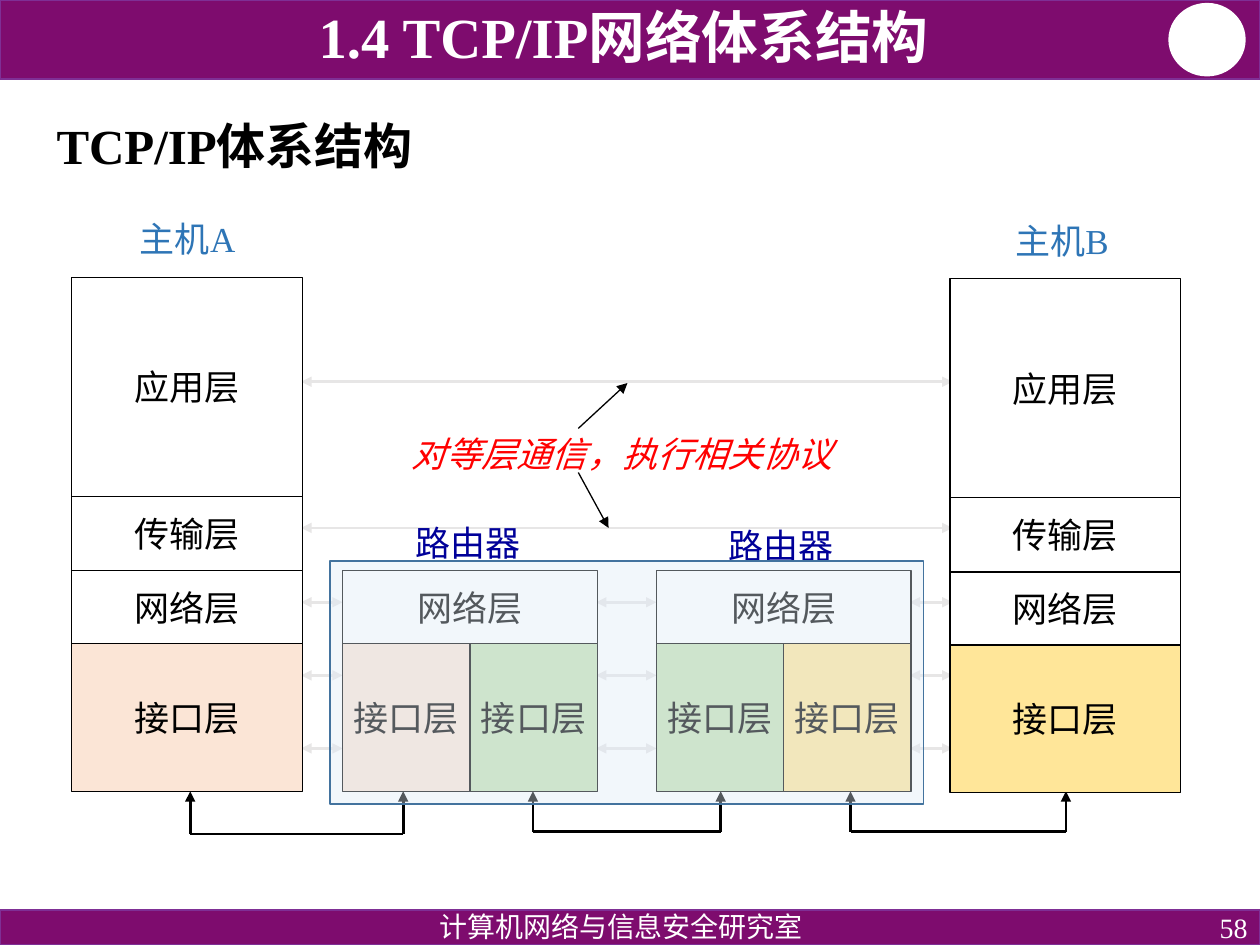
from dataclasses import dataclass

from lxml.etree import SubElement
from pptx import Presentation
from pptx.dml.color import RGBColor
from pptx.enum.shapes import MSO_CONNECTOR, MSO_SHAPE as Shape
from pptx.enum.text import MSO_ANCHOR as Anchor, PP_ALIGN as Align
from pptx.oxml.ns import qn
from pptx.util import Inches, Pt


@dataclass(frozen=True)
class Theme:
    font: str = "Times New Roman"
    banner: str = "7E0C6E"
    banner_edge: str = "7F2F95"
    white: str = "FFFFFF"
    ink: str = "000000"
    peer: str = "E7E6E6"
    note: str = "FF0000"
    router: str = "000099"
    host: str = "2E75B6"
    peach: str = "FBE5D6"
    green: str = "C5E0B4"
    gold: str = "FFE699"
    network: str = "DEEBF7"
    network_edge: str = "43739E"
    heading_size: float = 32.4
    title_size: float = 28
    body_size: float = 20
    footer_size: float = 16


theme = Theme()

heading = "1.4 TCP/IP网络体系结构"
title = "TCP/IP体系结构"
footer = "计算机网络与信息安全研究室"
page_number = "58"
peer_note = "对等层通信，执行相关协议"
router_label = "路由器"
network_layer, link_layer = "网络层", "接口层"

host_layers = [("应用层", 1.74), ("传输层", 0.59), (network_layer, 0.58), (link_layer, 1.17)]
hosts = [
    ("主机A", (0.66, 1.68), (0.57, 2.2), theme.peach),
    ("主机B", (7.6, 1.69), (7.54, 2.21), theme.gold),
]
routers = [
    (2.72, (3.2, 4.09), (theme.peach, theme.green)),
    (5.21, (5.68, 4.11), (theme.green, theme.gold)),
]
end_to_end_rows = [3.03, 4.19]
hop_rows = [4.78, 5.36, 5.94]
hops = [(2.39, 2.72), (4.73, 5.21), (7.22, 7.56)]
cables = [(1.51, 3.2, 6.62), (4.23, 5.72, 6.6), (6.75, 8.46, 6.6)]
note_arrows = [((4.59, 3.4), (4.98, 3.04)), ((4.59, 3.75), (4.83, 4.19))]

host_width = 1.83
router_width, port_width = 2.02, 1.01
router_top, port_top, stack_bottom = 4.53, 5.11, 6.28

prs = Presentation()
prs.slide_width, prs.slide_height = Inches(10), Inches(7.5)
slide = prs.slides.add_slide(prs.slide_layouts[6])


def write(target, text, size, color, align=Align.LEFT, anchor=Anchor.TOP,
          wrap=True, bold=False, italic=False, spacing=None):
    frame = target.text_frame
    frame.word_wrap = wrap
    frame.vertical_anchor = anchor
    paragraph = frame.paragraphs[0]
    paragraph.alignment = align
    if spacing:
        paragraph.line_spacing = spacing
    run = paragraph.add_run()
    run.text = text
    font = run.font
    font.name, font.size = theme.font, Pt(size)
    font.bold, font.italic = bold, italic
    font.color.rgb = RGBColor.from_string(color)


def add_label(text, box, size, color, **style):
    write(slide.shapes.add_textbox(*map(Inches, box)), text, size, color, **style)


def add_block(box, fill, edge, weight, preset=Shape.RECTANGLE):
    block = slide.shapes.add_shape(preset, *map(Inches, box))
    block.shadow.inherit = False
    block.fill.solid()
    block.fill.fore_color.rgb = RGBColor.from_string(fill)
    block.line.color.rgb = RGBColor.from_string(edge)
    block.line.width = Pt(weight)
    return block


def add_layer(text, box, fill=theme.white):
    write(add_block(box, fill, theme.ink, 0.75), text, theme.body_size, theme.ink,
          align=Align.CENTER, anchor=Anchor.MIDDLE, wrap=False)


def add_line(start, end, color=theme.ink, weight=1.5, arrows=()):
    line = slide.shapes.add_connector(MSO_CONNECTOR.STRAIGHT, *map(Inches, start + end))
    line.line.color.rgb = RGBColor.from_string(color)
    line.line.width = Pt(weight)
    for arrow in arrows:
        SubElement(line.line._get_or_add_ln(), qn(f"a:{arrow}"), type="triangle")
    SubElement(line._element.spPr, qn("a:effectLst"))


def add_peer_line(left, right, y):
    add_line((left, y), (right, y), theme.peer, arrows=("headEnd", "tailEnd"))


add_block((0, 0, 10, 0.63), theme.banner, theme.banner_edge, 1)
add_block((9.28, 0.03, 0.6, 0.57), theme.white, theme.white, 1, Shape.OVAL)
add_block((0, 7.22, 10, 0.28), theme.banner, theme.banner_edge, 1)
add_label(page_number, (7.75, 7.22, 2.25, 0.28), theme.footer_size, theme.white,
          align=Align.RIGHT, anchor=Anchor.MIDDLE)
add_label(footer, (2.69, 7.2, 4.48, 0.28), theme.footer_size, theme.white,
          align=Align.CENTER, spacing=0.9)
add_label(title, (0.35, 0.67, 8.98, 1.02), theme.title_size, theme.ink,
          anchor=Anchor.MIDDLE, bold=True, spacing=0.9)
add_label(heading, (0.67, 0.04, 8.56, 0.56), theme.heading_size, theme.white,
          align=Align.CENTER, anchor=Anchor.BOTTOM, bold=True, spacing=0.8)

for y in end_to_end_rows:
    add_peer_line(hops[0][0], hops[-1][1], y)
for left, right in hops:
    for y in hop_rows:
        add_peer_line(left, right, y)

for left, right, y in cables:
    add_line((left, y), (right, y))
    for x in (left, right):
        add_line((x, y), (x, stack_bottom), arrows=("tailEnd",))

add_label(peer_note, (3.17, 3.38, 3.57, 0.44), theme.body_size, theme.note,
          wrap=False, italic=True)
for start, end in note_arrows:
    add_line(start, end, weight=0.75, arrows=("tailEnd",))

for name, name_at, (left, top), link_fill in hosts:
    add_label(name, (*name_at, 1.66, 0.44), theme.body_size, theme.host, align=Align.CENTER)
    for layer, height in host_layers:
        fill = link_fill if layer == link_layer else theme.white
        add_layer(layer, (left, top, host_width, height), fill)
        top += height

for left, label_at, port_fills in routers:
    add_label(router_label, (*label_at, 1.04, 0.44), theme.body_size, theme.router, wrap=False)
    add_layer(network_layer, (left, router_top, router_width, port_top - router_top))
    for column, fill in enumerate(port_fills):
        add_layer(link_layer, (left + column * port_width, port_top,
                               port_width, stack_bottom - port_top), fill)

network = add_block((2.62, 4.45, 4.71, 1.93), theme.network, theme.network_edge, 1)
network_color = network._element.spPr.find(qn("a:solidFill")).find(qn("a:srgbClr"))
SubElement(network_color, qn("a:alpha"), val="38000")

prs.save("out.pptx")
